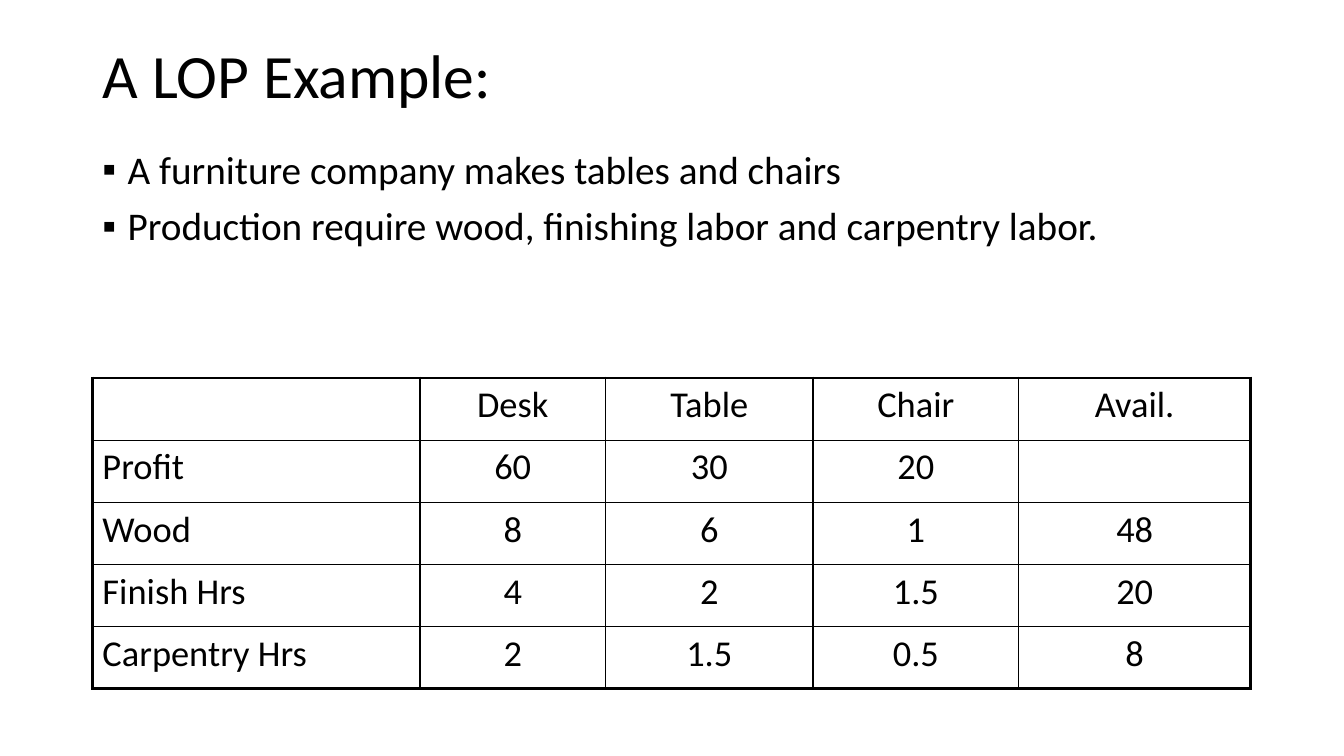
"""Build the furniture production slide: a title, two bullets and a table."""
from dataclasses import dataclass

from pptx import Presentation
from pptx import util as u
from pptx.dml.color import RGBColor
from pptx.enum import text
from pptx.oxml import xmlchemy as xc


@dataclass(frozen=True)
class Theme:
    font: str = "Calibri"
    ink: str = "000000"
    title: float = 44
    body: float = 28
    cell: float = 26
    thin: float = 1
    thick: float = 2.25


@dataclass(frozen=True)
class Box:
    left: float
    top: float
    width: float
    height: float


THEME = Theme()
WIDE, HIGH = u.Inches(13.33), u.Inches(7.5)
COLS, ROWS = 160, 90
LEFT, SPAN = 11, 138
HEAD = Box(LEFT, 4.8, SPAN, 10.8)
LIST = Box(LEFT, 17.3, SPAN, 22)
GRID = Box(LEFT, 45, SPAN, 37)
WIDTHS = (39, 22.1, 24.7, 24.5, 27.6)
POINTS = (
    "A furniture company makes tables and chairs",
    "Production require wood, finishing labor and carpentry labor.",
)
DATA = (
    ("", "Desk", "Table", "Chair", "Avail."),
    ("Profit", "60", "30", "20", ""),
    ("Wood", "8", "6", "1", "48"),
    ("Finish Hrs", "4", "2", "1.5", "20"),
    ("Carpentry Hrs", "2", "1.5", "0.5", "8"),
)


def across(count: float) -> int:
    """Turn grid columns into a length."""
    return round(count * WIDE / COLS)


def down(count: float) -> int:
    """Turn grid rows into a length."""
    return round(count * HIGH / ROWS)


def place(shape, box: Box) -> None:
    """Move a placeholder to a box and fix its text at the top."""
    shape.left, shape.top = across(box.left), down(box.top)
    shape.width, shape.height = across(box.width), down(box.height)
    frame = shape.text_frame
    frame.word_wrap = True
    frame.auto_size = text.MSO_AUTO_SIZE.NONE
    frame.vertical_anchor = text.MSO_ANCHOR.TOP


def style(para, size: float, align=text.PP_ALIGN.LEFT) -> None:
    """Set the type and alignment of a paragraph."""
    para.alignment = align
    font = para.font
    font.name, font.size, font.bold = THEME.font, u.Pt(size), False
    font.color.rgb = RGBColor.from_string(THEME.ink)


def bullet(para) -> None:
    """Give a paragraph a hanging square bullet."""
    props = para._p.get_or_add_pPr()
    props.set("marL", str(across(3)))
    props.set("indent", str(-across(3)))
    mark = xc.OxmlElement("a:buChar")
    mark.set("char", "▪")
    props.append(mark)


def border(cell, side: str, width: float) -> None:
    """Draw one edge of a cell."""
    line = xc.OxmlElement(f"a:ln{side}")
    line.set("w", str(u.Pt(width)))
    fill = xc.OxmlElement("a:solidFill")
    ink = xc.OxmlElement("a:srgbClr")
    ink.set("val", THEME.ink)
    fill.append(ink)
    line.append(fill)
    cell._tc.get_or_add_tcPr().append(line)


def add_grid(slide) -> None:
    """Add the table with a heavy outer frame."""
    last_row, last_col = len(DATA) - 1, len(WIDTHS) - 1
    table = slide.shapes.add_table(
        len(DATA), len(WIDTHS), across(GRID.left), down(GRID.top),
        across(GRID.width), down(GRID.height),
    ).table
    table.first_row = table.horz_banding = False
    for column, width in zip(table.columns, WIDTHS):
        column.width = across(width)
    for r, row in enumerate(DATA):
        table.rows[r].height = down(GRID.height / len(DATA))
        for c, label in enumerate(row):
            cell = table.cell(r, c)
            cell.text = label
            align = text.PP_ALIGN.CENTER if c else text.PP_ALIGN.LEFT
            style(cell.text_frame.paragraphs[0], THEME.cell, align)
            edges = {"L": c == 0, "R": c == last_col, "T": r == 0, "B": r == last_row}
            for side, outer in edges.items():
                border(cell, side, THEME.thick if outer else THEME.thin)
            cell.fill.background()


def main() -> None:
    """Build and save the slide."""
    deck = Presentation()
    deck.slide_width, deck.slide_height = WIDE, HIGH
    slide = deck.slides.add_slide(deck.slide_layouts[1])
    title, body = slide.shapes.title, slide.placeholders[1]
    place(title, HEAD)
    title.text_frame.text = "A LOP Example:"
    head = title.text_frame.paragraphs[0]
    head.line_spacing = 0.9
    style(head, THEME.title)
    add_grid(slide)
    place(body, LIST)
    body.text_frame.text = "\n".join(POINTS)
    for i, para in enumerate(body.text_frame.paragraphs):
        bullet(para)
        para.line_spacing = 0.9
        para.space_before = u.Pt(10 if i else 0)
        style(para, THEME.body)
    deck.save("out.pptx")


if __name__ == "__main__":
    main()
